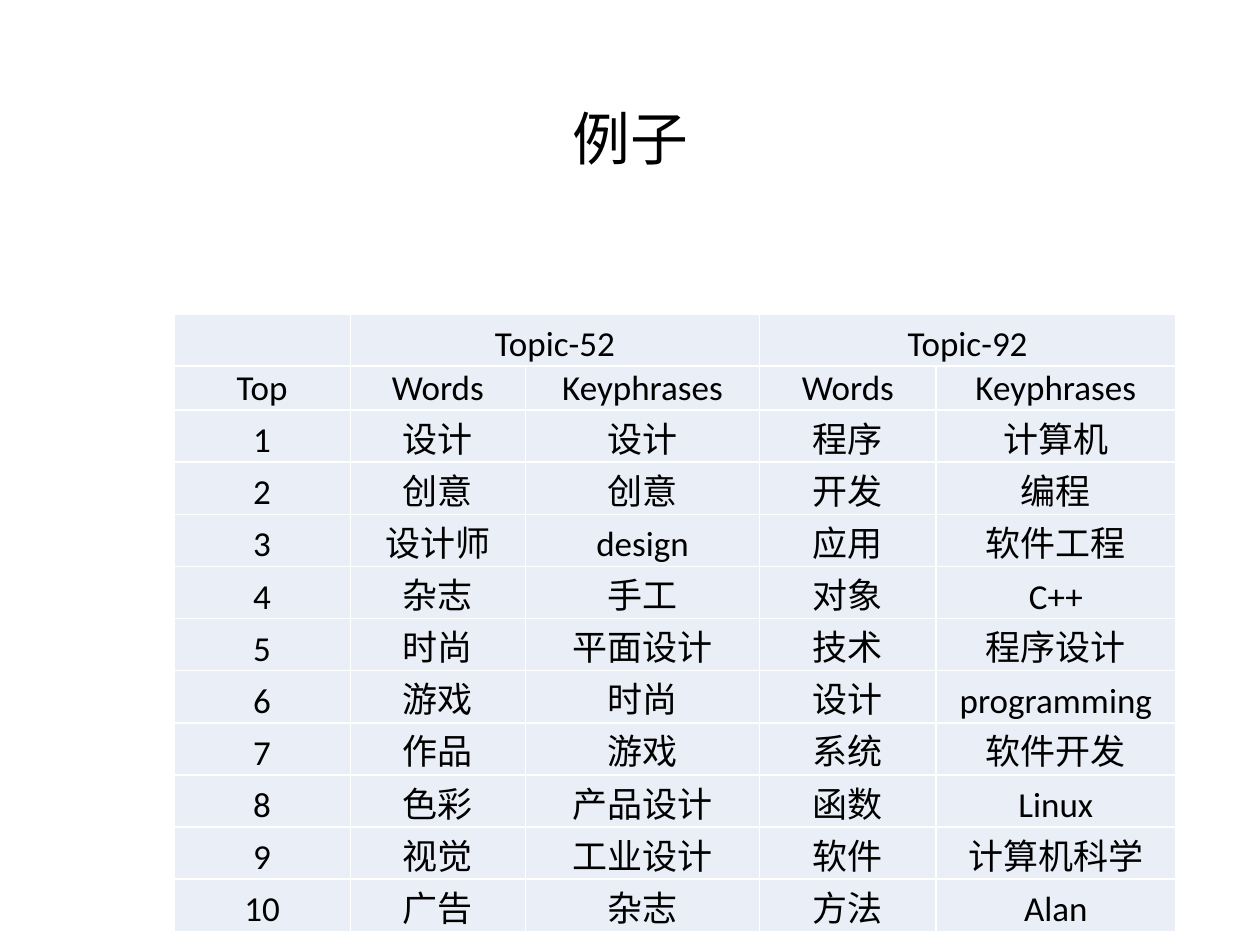
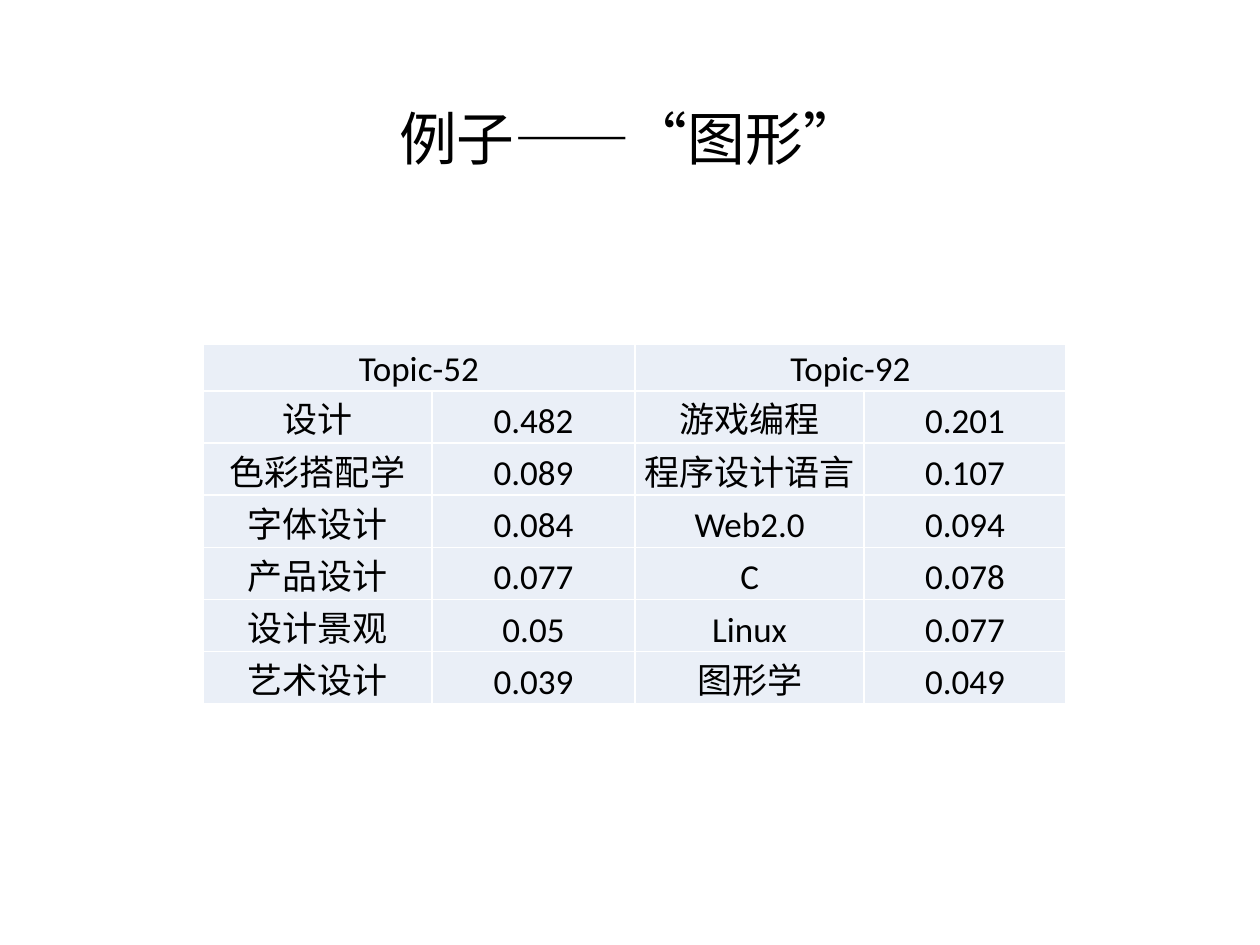
from lxml.etree import SubElement
from pptx import Presentation
from pptx.dml.color import RGBColor
from pptx.enum.lang import MSO_LANGUAGE_ID as Language
from pptx.enum.text import MSO_ANCHOR as Anchor, PP_ALIGN as Align
from pptx.oxml.ns import qn
from pptx.util import Inches, Pt

TOPICS = ("Topic-52", "Topic-92")
TERM_ROW = 29.8

TOP_TERMS = {
    "title": "例子",
    "origin": (1.38, 2.49),
    "columns": (1.4, 1.39, 1.86, 1.4, 1.9),
    "row_points": (TERM_ROW, 25.2) + (TERM_ROW,) * 10,
    "first_topic_column": 1,
    "rows": [
        ("Top", "Words", "Keyphrases", "Words", "Keyphrases"),
        ("1", "设计", "设计", "程序", "计算机"),
        ("2", "创意", "创意", "开发", "编程"),
        ("3", "设计师", "design", "应用", "软件工程"),
        ("4", "杂志", "手工", "对象", "C++"),
        ("5", "时尚", "平面设计", "技术", "程序设计"),
        ("6", "游戏", "时尚", "设计", "programming"),
        ("7", "作品", "游戏", "系统", "软件开发"),
        ("8", "色彩", "产品设计", "函数", "Linux"),
        ("9", "视觉", "工业设计", "软件", "计算机科学"),
        ("10", "广告", "杂志", "方法", "Alan"),
    ],
}

GRAPHICS_TAGS = {
    "title": "例子——“图形”",
    "origin": (1.61, 2.73),
    "columns": (1.82, 1.61, 1.82, 1.6),
    "row_points": (26.8,) + (TERM_ROW,) * 6,
    "first_topic_column": 0,
    "rows": [
        ("设计", "0.482", "游戏编程", "0.201"),
        ("色彩搭配学", "0.089", "程序设计语言", "0.107"),
        ("字体设计", "0.084", "Web2.0", "0.094"),
        ("产品设计", "0.077", "C", "0.078"),
        ("设计景观", "0.05", "Linux", "0.077"),
        ("艺术设计", "0.039", "图形学", "0.049"),
    ],
}

BLACK = RGBColor(0x00, 0x00, 0x00)
WHITE = RGBColor(0xFF, 0xFF, 0xFF)
PALE_BLUE = RGBColor(0xEA, 0xEF, 0xF7)
LATIN_FONT = "Calibri"
CHINESE_FONT = "Noto Sans CJK SC"
TITLE_BOX = (0.69, 0.4, 8.62, 1.45)
CELL_INSET = Inches(0.01)


def write(paragraph, text, size, font_name):
    paragraph.alignment = Align.CENTER
    run = paragraph.add_run()
    run.text = text
    run.font.size = Pt(size)
    run.font.color.rgb = BLACK
    run.font.name = font_name
    run.font.language_id = Language.SIMPLIFIED_CHINESE
    SubElement(run.font._element, qn("a:ea"), typeface=CHINESE_FONT)


def add_title(slide, text):
    box = slide.shapes.add_textbox(*map(Inches, TITLE_BOX))
    frame = box.text_frame
    frame.word_wrap = True
    frame.vertical_anchor = Anchor.MIDDLE
    paragraph = frame.paragraphs[0]
    paragraph.line_spacing = 0.9
    write(paragraph, text, 33, CHINESE_FONT)


def style_cell(cell):
    properties = cell._tc.get_or_add_tcPr()
    for side in ("lnL", "lnR", "lnT", "lnB"):
        line = SubElement(properties, qn(f"a:{side}"), w=str(Pt(1)))
        fill = SubElement(line, qn("a:solidFill"))
        SubElement(fill, qn("a:srgbClr"), val=str(WHITE))
    cell.fill.solid()
    cell.fill.fore_color.rgb = PALE_BLUE


def write_cell(cell, text):
    cell.vertical_anchor = Anchor.BOTTOM
    cell.margin_left = cell.margin_right = cell.margin_top = CELL_INSET
    cell.margin_bottom = 0
    write(cell.text_frame.paragraphs[0], text, 20, LATIN_FONT)


def add_topic_table(slide, content):
    left, top = map(Inches, content["origin"])
    widths = [Inches(width) for width in content["columns"]]
    heights = [Pt(height) for height in content["row_points"]]
    frame = slide.shapes.add_table(
        len(heights), len(widths), left, top, sum(widths), sum(heights))
    table = frame.table
    table.first_row = table.horz_banding = False
    for column, width in zip(table.columns, widths):
        column.width = width
    for row, height in zip(table.rows, heights):
        row.height = height
    for cell in table.iter_cells():
        style_cell(cell)
    for index, topic in enumerate(TOPICS):
        first = content["first_topic_column"] + 2 * index
        table.cell(0, first).merge(table.cell(0, first + 1))
        write_cell(table.cell(0, first), topic)
    for row_index, row in enumerate(content["rows"], 1):
        for column_index, text in enumerate(row):
            write_cell(table.cell(row_index, column_index), text)


def main():
    presentation = Presentation()
    presentation.slide_width = Inches(10)
    presentation.slide_height = Inches(7.5)
    for content in (TOP_TERMS, GRAPHICS_TAGS):
        slide = presentation.slides.add_slide(presentation.slide_layouts[6])
        add_title(slide, content["title"])
        add_topic_table(slide, content)
    presentation.save("out.pptx")


if __name__ == "__main__":
    main()
